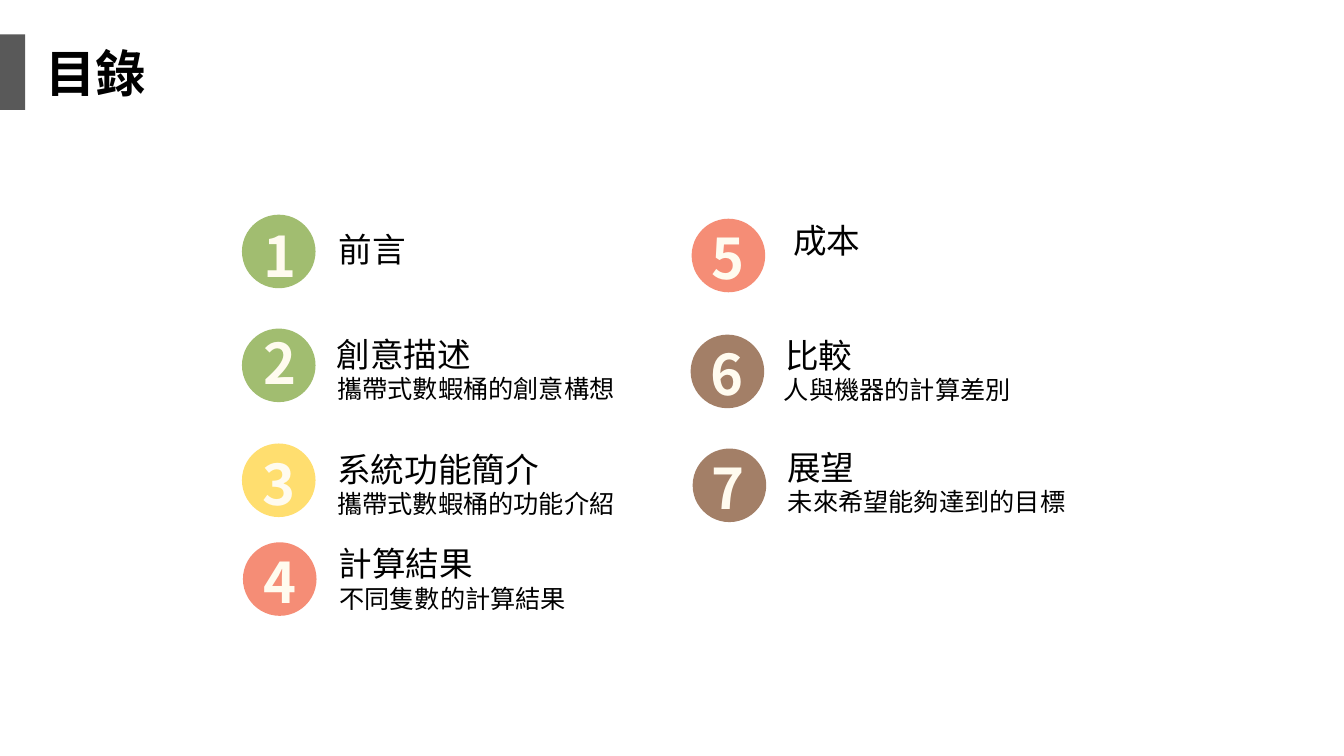
from dataclasses import dataclass

from lxml.etree import SubElement
from pptx import Presentation
from pptx.dml.color import RGBColor
from pptx.enum.shapes import MSO_SHAPE
from pptx.enum.text import MSO_AUTO_SIZE, PP_ALIGN
from pptx.oxml.ns import qn
from pptx.shapes.autoshape import Shape
from pptx.util import Emu, Pt

PX = 9144  # EMU per px, 100 px to the inch


@dataclass(frozen=True)
class Theme:
    font: str = "Noto Sans CJK SC"
    ink: str = "000000"
    bar: str = "595959"
    digit: str = "FFFBEF"
    green: str = "A1BD70"
    yellow: str = "FFDE6F"
    coral: str = "F58D76"
    brown: str = "A37F67"
    title_pt: int = 36
    digit_pt: int = 40
    heading_pt: int = 24
    detail_pt: int = 18


THEME = Theme()


@dataclass(frozen=True)
class Badge:
    x: int
    y: int
    color: str
    digit_dx: int = 9
    digit_dy: int = 0
    align: PP_ALIGN = PP_ALIGN.CENTER


@dataclass(frozen=True)
class Label:
    text: str
    x: int
    y: int


@dataclass(frozen=True)
class Entry:
    badge: Badge
    heading: Label
    detail: Label | None = None


ENTRIES = [
    Entry(Badge(240, 213, THEME.green, 10, 2), Label("前言", 325, 222)),
    Entry(Badge(240, 326, THEME.green, 10, -5), Label("創意描述", 323, 326),
          Label("攜帶式數蝦桶的創意構想", 323, 365)),
    Entry(Badge(240, 440, THEME.yellow, 9, 1), Label("系統功能簡介", 323, 440),
          Label("攜帶式數蝦桶的功能介紹", 323, 480)),
    Entry(Badge(241, 538, THEME.coral), Label("計算結果", 325, 534),
          Label("不同隻數的計算結果", 325, 574)),
    Entry(Badge(686, 217, THEME.coral), Label("成本", 776, 213)),
    Entry(Badge(685, 332, THEME.brown), Label("比較", 768, 327),
          Label("人與機器的計算差別", 766, 366)),
    Entry(Badge(687, 445, THEME.brown, align=PP_ALIGN.LEFT), Label("展望", 770, 438),
          Label("未來希望能夠達到的目標", 770, 478)),
]
DISC = 73
DIGIT_W = 55


def px(n: int) -> Emu:
    return Emu(n * PX)


def add_block(shapes, kind: MSO_SHAPE, x: int, y: int, w: int, h: int, color: str) -> Shape:
    sp = shapes.add_shape(kind, px(x), px(y), px(w), px(h))
    sp.shadow.inherit = False
    sp.fill.solid()
    sp.fill.fore_color.rgb = RGBColor.from_string(color)
    sp.line.fill.background()
    return sp


def add_text(shapes, label: Label, size: int, color: str = THEME.ink, bold: bool = False,
             align: PP_ALIGN = PP_ALIGN.CENTER, width: int | None = None) -> Shape:
    """Size the box from its full-width characters unless a width is given."""
    w = width or round(21 + 1.4 * size * len(label.text))
    h = round(10 + 1.68 * size)
    sp = shapes.add_textbox(px(label.x), px(label.y), px(w), px(h))
    tf = sp.text_frame
    tf.word_wrap = False
    tf.auto_size = MSO_AUTO_SIZE.SHAPE_TO_FIT_TEXT
    p = tf.paragraphs[0]
    p.alignment = align
    r = p.add_run()
    r.text = label.text
    for name, value in {"name": THEME.font, "size": Pt(size), "bold": bold}.items():
        setattr(r.font, name, value)
    r.font.color.rgb = RGBColor.from_string(color)
    SubElement(r._r.get_or_add_rPr(), qn("a:ea")).set("typeface", THEME.font)
    return sp


def add_entry(shapes, number: int, entry: Entry) -> None:
    # Numbered disc
    b = entry.badge
    disc = shapes.add_group_shape().shapes
    add_block(disc, MSO_SHAPE.OVAL, b.x, b.y, DISC, DISC, b.color)
    add_text(disc, Label(str(number), b.x + b.digit_dx, b.y + b.digit_dy),
             THEME.digit_pt, THEME.digit, True, b.align, DIGIT_W)

    # Heading and its detail line
    texts = shapes.add_group_shape().shapes
    if entry.detail:
        add_text(texts, entry.detail, THEME.detail_pt)
    add_text(texts, entry.heading, THEME.heading_pt)


def main() -> None:
    prs = Presentation()
    for name, value in {"slide_width": px(1333), "slide_height": px(750)}.items():
        setattr(prs, name, value)
    shapes = prs.slides.add_slide(prs.slide_layouts[6]).shapes

    # Title with side bar
    add_block(shapes, MSO_SHAPE.RECTANGLE, 0, 34, 25, 75, THEME.bar)
    add_text(shapes, Label("目錄", 35, 37), THEME.title_pt, bold=True, align=PP_ALIGN.LEFT)

    # Contents
    for number, entry in enumerate(ENTRIES, start=1):
        add_entry(shapes, number, entry)

    prs.save("out.pptx")


if __name__ == "__main__":
    main()
